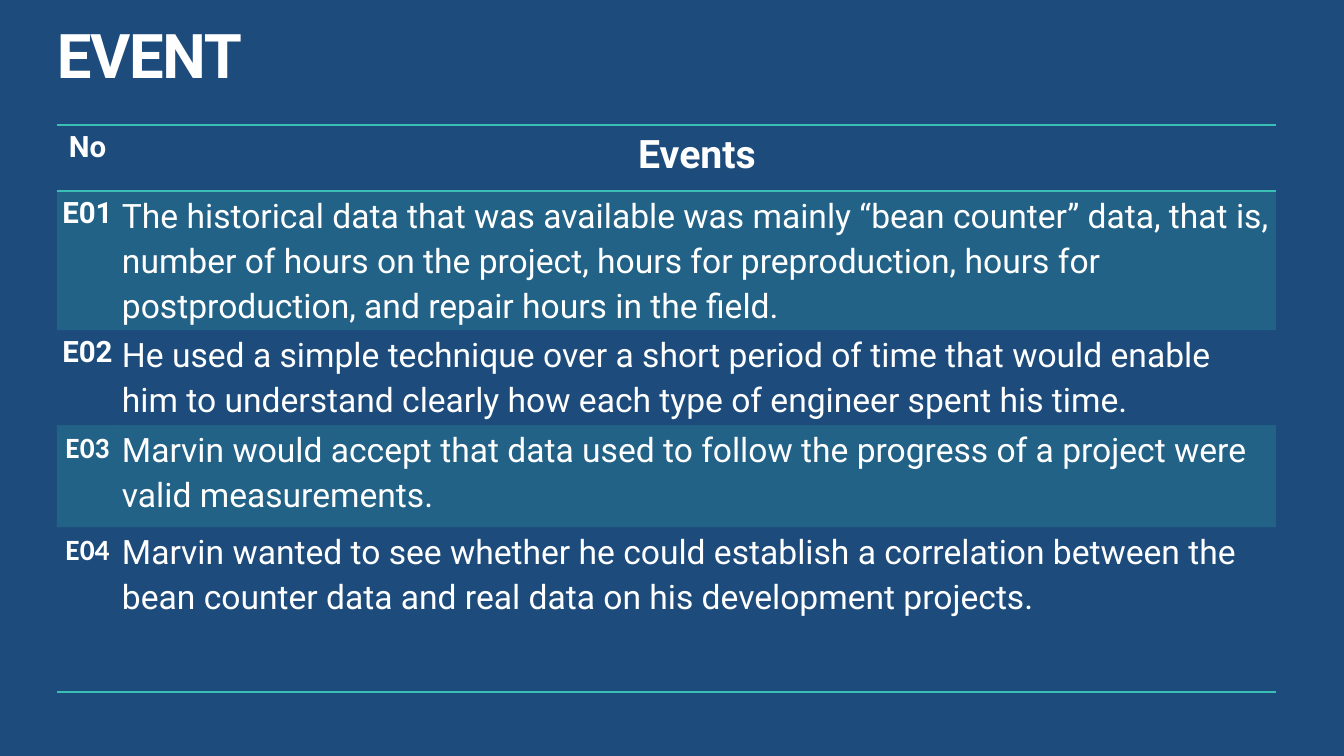
"""Build the event table slide."""
from lxml.etree import SubElement as Sub
from pptx import Presentation
from pptx.dml.color import RGBColor
from pptx.enum.text import PP_ALIGN as Align
from pptx.oxml import parse_xml
from pptx.oxml.ns import nsdecls, qn
from pptx.util import Pt

PX = 914400 / 100.8
BACK, WHITE, TEAL = "1D4C7C", "FFFFFF", "3BBEB4"
PLAIN = "{2D5ABB26-0587-4C30-8999-92F81FD0307C}"
TITLE = "EVENT"
HEAD = ("No", "Events")
EVENTS = [
    ("E01", "The historical data that was available was mainly “bean counter” data, "
     "that is, number of hours on the project, hours for preproduction, hours for "
     "postproduction, and repair hours in the field."),
    ("E02", "He used a simple technique over a short period of time that would enable "
     "him to understand clearly how each type of engineer spent his time."),
    ("E03", "Marvin would accept that data used to follow the progress of a project "
     "were valid measurements."),
    ("E04", "Marvin wanted to see whether he could establish a correlation between "
     "the bean counter data and real data on his development projects."),
]
COLS = (61, 1158)
ROWS = (66, 136, 95, 102, 165)
CALIBRI = ("E03", "E04")


def px(n):
    return round(n * PX)


def color(code):
    return RGBColor.from_string(code)


def style(para, size, bold, font="Roboto"):
    for run in para.runs:
        run.font.size = Pt(size)
        run.font.bold = bold
        run.font.name = font
        run.font.color.rgb = color(WHITE)


def rule(cell, sides):
    props = cell._tc.get_or_add_tcPr()
    for i, side in enumerate(sides):
        props.insert(i, parse_xml(
            f'<a:ln{side} {nsdecls("a")} w="12700"><a:solidFill>'
            f'<a:srgbClr val="{TEAL}"/></a:solidFill></a:ln{side}>'))


def shade(cell, on):
    if not on:
        cell.fill.background()
        return
    cell.fill.solid()
    cell.fill.fore_color.rgb = color(TEAL)
    tint = cell._tc.tcPr.find(".//" + qn("a:srgbClr"))
    Sub(tint, qn("a:alpha"), val="20000")


def add_title(slide):
    frame = slide.shapes.add_textbox(px(57), px(25), px(1229), px(68)).text_frame
    frame.word_wrap = True
    frame.margin_left = frame.margin_right = 0
    frame.margin_top = frame.margin_bottom = 0
    frame.text = TITLE
    para = frame.paragraphs[0]
    para.line_spacing = 0.9
    style(para, 44, True)
    para.runs[0].font._element.set("spc", "-100")


def add_events(slide):
    data = [HEAD] + EVENTS
    table = slide.shapes.add_table(len(data), len(HEAD), px(57), px(125),
                                   px(sum(COLS)), px(sum(ROWS))).table
    table.first_row = table.horz_banding = False
    table._tbl.tblPr.find(qn("a:tableStyleId")).text = PLAIN
    for col, wide in zip(table.columns, COLS):
        col.width = px(wide)
    for r, (row, high) in enumerate(zip(table.rows, ROWS)):
        row.height = px(high)
        for c, cell in enumerate(row.cells):
            text = data[r][c]
            cell.margin_left = cell.margin_right = px(4)
            cell.margin_top = cell.margin_bottom = 0
            cell.text = text
            para = cell.text_frame.paragraphs[0]
            para.alignment = Align.CENTER if r == 0 or c == 0 else Align.LEFT
            para.line_spacing = 1.15
            para.space_after = Pt(10)
            size = 21 if c == 0 else 28 if r == 0 else 24
            style(para, size, r == 0 or c == 0,
                  "Calibri" if text in CALIBRI else "Roboto")
            shade(cell, r % 2 == 1)
            if r == 0:
                rule(cell, "TB")
            elif r == len(EVENTS):
                rule(cell, "B")


def main():
    deck = Presentation()
    deck.slide_width, deck.slide_height = px(1344), px(756)
    slide = deck.slides.add_slide(deck.slide_layouts[6])
    slide.background.fill.solid()
    slide.background.fill.fore_color.rgb = color(BACK)
    add_title(slide)
    add_events(slide)
    deck.save("out.pptx")


if __name__ == "__main__":
    main()
